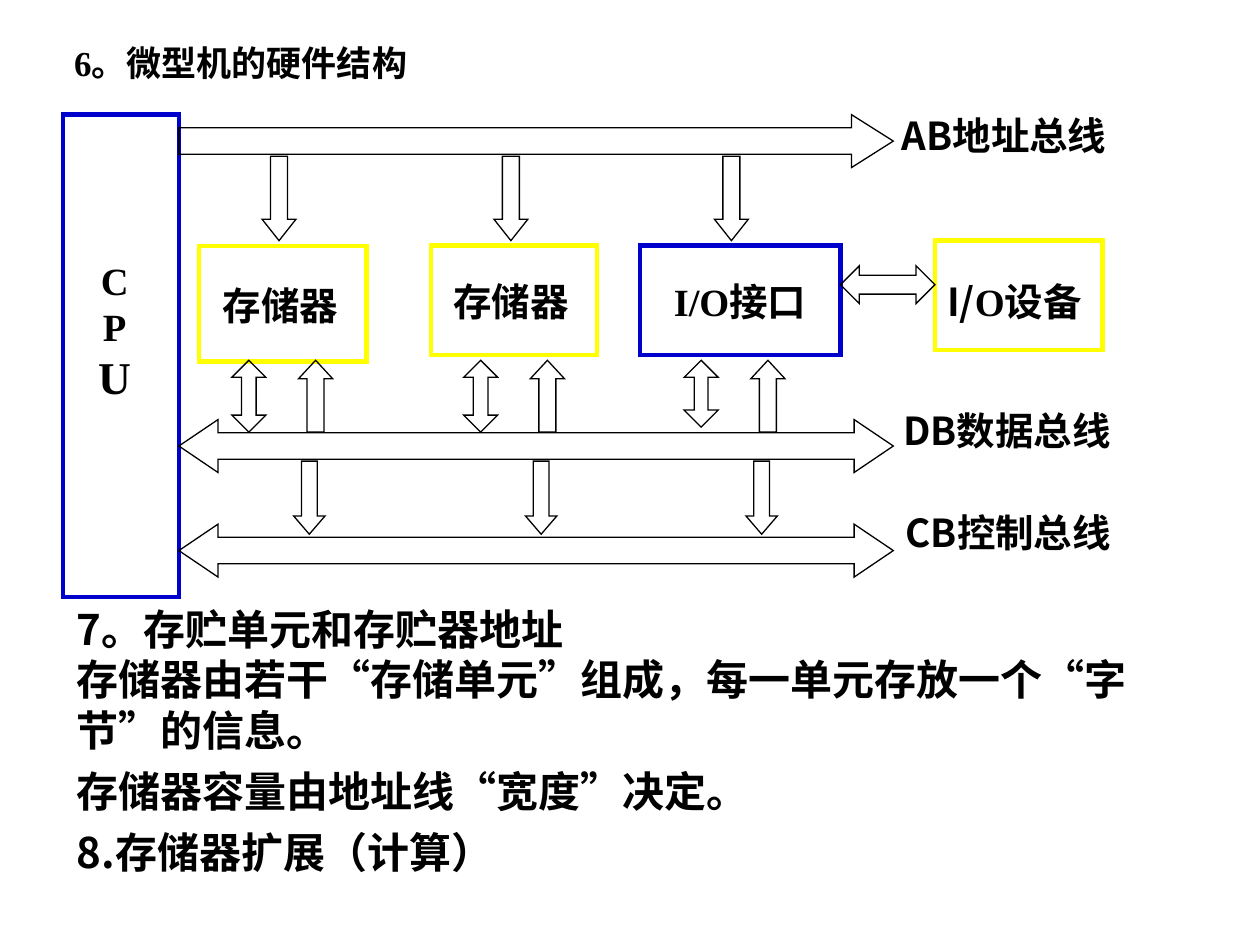
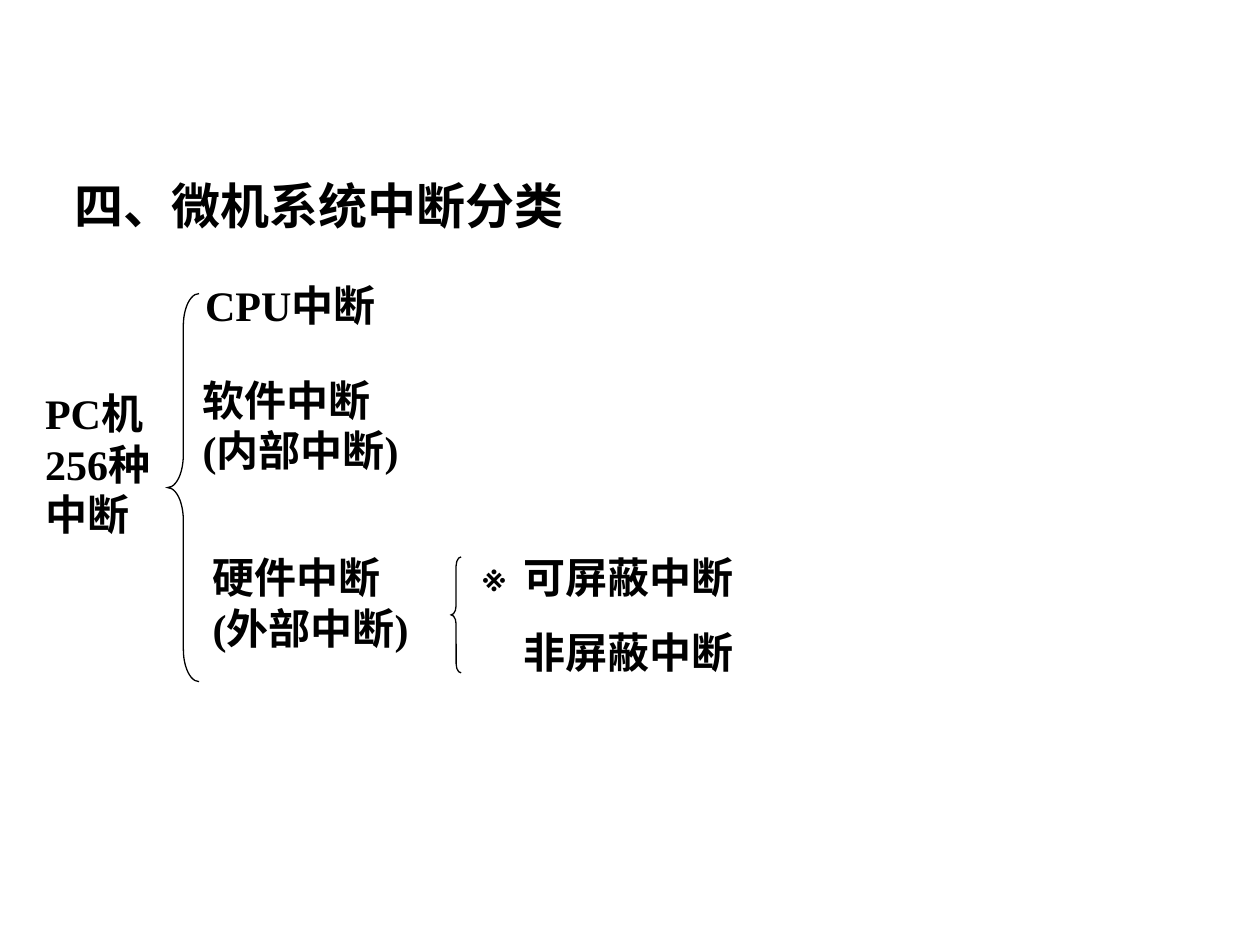
"""Build two slides on microcomputer hardware structure and interrupt classes."""
from lxml import etree
from pptx import Presentation
from pptx import util as u
from pptx.dml.color import RGBColor
from pptx.enum import shapes, text
from pptx.oxml import ns

PX = 9144
BLACK = RGBColor(0, 0, 0)
BLUE = RGBColor(0, 0, 0xCC)
YELLOW = RGBColor(0xFF, 0xFF, 0)
SANS = "Noto Sans CJK SC"
SERIF = "Times New Roman"
KIND = shapes.MSO_SHAPE


def scale(box):
    return [n * PX for n in box]


def style(font, face, size):
    font.name, font.size, font.bold = face, u.Pt(size), True
    font.color.rgb = BLACK
    latin = font._element.find(ns.qn("a:latin"))
    east = etree.Element(ns.qn("a:ea"), typeface=SANS)
    latin.addnext(east)


def label(slide, box, lines, size=24, face=SERIF, align=text.PP_ALIGN.LEFT):
    frame = slide.shapes.add_textbox(*scale(box)).text_frame
    frame.word_wrap = True
    frame.text = "\n".join(lines)
    for para in frame.paragraphs:
        para.alignment = align
        style(para.font, face, size)
    return frame.paragraphs


def outline(slide, kind, box, color=BLACK, width=0.75, adjust=()):
    shape = slide.shapes.add_shape(kind, *scale(box))
    shape.shadow.inherit = False
    shape.fill.background()
    shape.line.color.rgb = color
    shape.line.width = u.Pt(width)
    edge = shape.line._get_or_add_ln()
    etree.SubElement(edge, ns.qn("a:miter"), lim="800000")
    for i, value in enumerate(adjust):
        shape.adjustments[i] = value


def block(slide, box, color):
    outline(slide, KIND.RECTANGLE, box, color, 2.5)


def arrow(slide, kind, box, head):
    outline(slide, kind, box, adjust=(0.5, head))


def buses(slide):
    arrow(slide, KIND.RIGHT_ARROW, (142, 91, 567, 42), 0.79)
    for top in (333, 416):
        arrow(slide, KIND.LEFT_RIGHT_ARROW, (142, top, 567, 42), 0.74)
    names = (("AB地址总线", 706, 84), ("DB数据总线", 707, 318),
             ("CB控制总线", 709, 399))
    for name, left, top in names:
        label(slide, (left, top, 210, 47), [name], 22, SANS)


def links(slide):
    for left, high, head in ((208, 57, 0.43), (392, 57, 0.43), (567, 53, 0.4)):
        arrow(slide, KIND.DOWN_ARROW, (left, 124, 27, 67), 0.63)
        arrow(slide, KIND.UP_DOWN_ARROW, (left - 24, 286, 27, high), head)
        arrow(slide, KIND.UP_ARROW, (left + 29, 286, 27, 57), 0.54)
        arrow(slide, KIND.DOWN_ARROW, (left + 25, 366, 25, 58), 0.58)
    arrow(slide, KIND.LEFT_RIGHT_ARROW, (667, 211, 75, 30), 0.5)


def units(slide):
    block(slide, (50, 91, 92, 383), BLUE)
    block(slide, (158, 195, 133, 92), YELLOW)
    block(slide, (342, 195, 132, 87), YELLOW)
    block(slide, (508, 195, 159, 87), BLUE)
    block(slide, (742, 191, 133, 87), YELLOW)
    paras = label(slide, (64, 199, 54, 127), "CPU", 22, align=text.PP_ALIGN.CENTER)
    paras[-1].font.size = u.Pt(26)
    label(slide, (167, 219, 130, 47), ["存储器"], 22, SANS)
    label(slide, (350, 216, 130, 47), ["存储器"], 22, SANS)
    label(slide, (525, 216, 150, 47), ["I/O接口"], 22)
    device = label(slide, (742, 216, 155, 47), ["I/"], 22, SANS)[0]
    for part, face in (("O", SERIF), ("设备", SANS)):
        run = device.add_run()
        run.text = part
        style(run.font, face, 22)


def hardware(slide):
    units(slide)
    buses(slide)
    links(slide)
    label(slide, (49, 28, 320, 44), ["6。微型机的硬件结构"], 20)
    notes = ["7。存贮单元和存贮器地址",
             "存储器由若干“存储单元”组成，每一单元存放一个“字节”的信息。",
             "存储器容量由地址线“宽度”决定。",
             "8.存储器扩展（计算）"]
    for para in label(slide, (51, 474, 900, 227), notes, face=SANS)[2:]:
        para.space_before = u.Pt(6)


def breaks(slide):
    label(slide, (49, 134, 450, 57), ["四、微机系统中断分类"], 28)
    label(slide, (26, 303, 130, 130), ["PC机", "256种", "中断"])
    label(slide, (153, 217, 180, 50), ["CPU中断"])
    label(slide, (151, 292, 210, 90), ["软件中断", "(内部中断)"])
    label(slide, (159, 433, 210, 90), ["硬件中断", "(外部中断)"])
    label(slide, (374, 433, 45, 47), ["※"], 22)
    for name, top in (("可屏蔽中断", 433), ("非屏蔽中断", 492)):
        label(slide, (406, top, 210, 50), [name])
    outline(slide, KIND.LEFT_BRACE, (133, 233, 25, 308), adjust=(1.03, 0.5))
    outline(slide, KIND.LEFT_BRACE, (358, 442, 8, 92), adjust=(0.9, 0.5))


def main():
    deck = Presentation()
    deck.slide_width, deck.slide_height = scale((1000, 750))
    for draw in (hardware, breaks):
        draw(deck.slides.add_slide(deck.slide_layouts[6]))
    deck.save("out.pptx")


if __name__ == "__main__":
    main()
